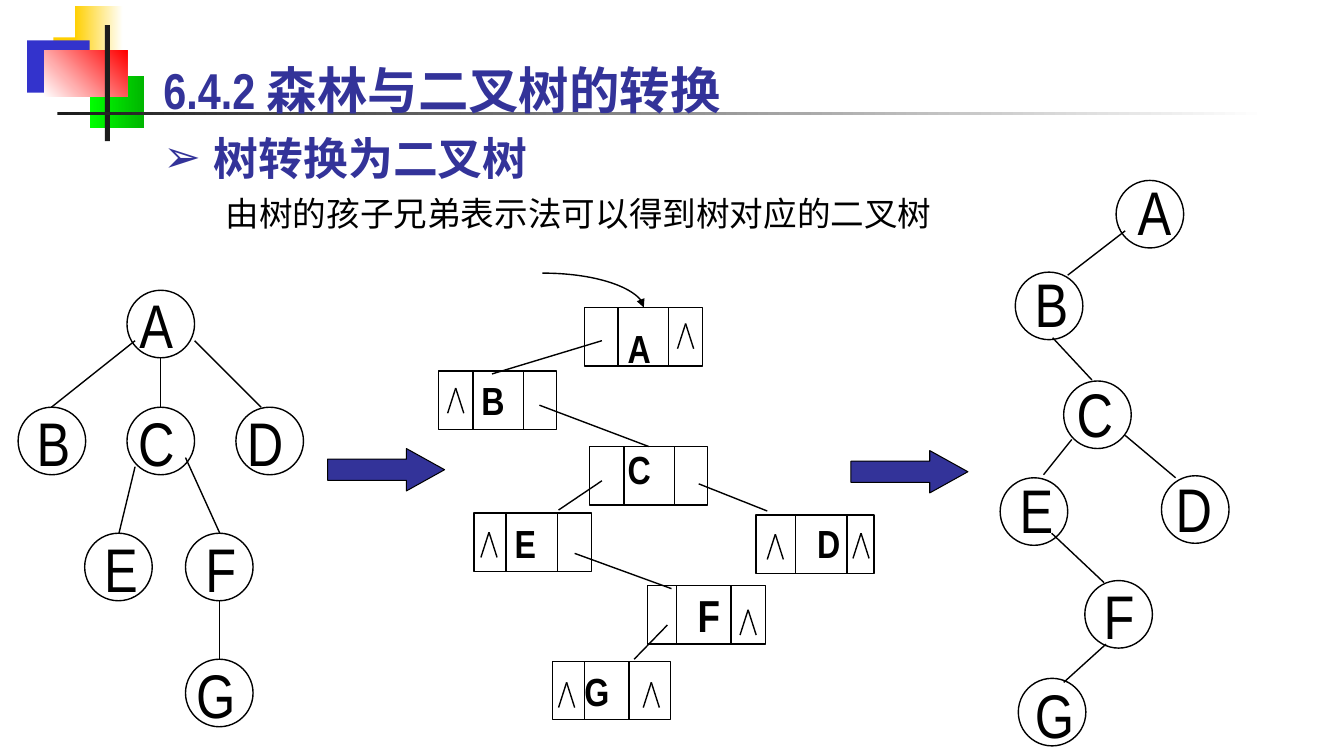
from lxml import etree
from pptx import Presentation
from pptx.dml.color import RGBColor
from pptx.enum.shapes import MSO_CONNECTOR, MSO_SHAPE
from pptx.enum.text import MSO_ANCHOR, MSO_AUTO_SIZE, PP_ALIGN
from pptx.oxml.ns import qn
from pptx.util import Inches, Pt

STRAIGHT, CURVE = MSO_CONNECTOR.STRAIGHT, MSO_CONNECTOR.CURVE
OVAL, RECTANGLE, ARROW = MSO_SHAPE.OVAL, MSO_SHAPE.RECTANGLE, MSO_SHAPE.RIGHT_ARROW
MIDDLE, FIXED = MSO_ANCHOR.MIDDLE, MSO_AUTO_SIZE.NONE
LEFT, CENTER = PP_ALIGN.LEFT, PP_ALIGN.CENTER

BLACK = RGBColor(0x00, 0x00, 0x00)
WHITE = RGBColor(0xFF, 0xFF, 0xFF)
CHARCOAL = RGBColor(0x1C, 0x1C, 0x1C)
NAVY = RGBColor(0x33, 0x33, 0x99)
BLUE = RGBColor(0x33, 0x33, 0xCC)
GOLD = RGBColor(0xFF, 0xCF, 0x01)
LIME = RGBColor(0x00, 0xFF, 0x00)
GREEN = RGBColor(0x00, 0xB6, 0x00)
RED = RGBColor(0xFF, 0x00, 0x00)

NARROW, CHINESE = "Arial Narrow", "Noto Sans CJK SC"
CIRCLE = 0.67
CELL_WIDTH, CELL_HEIGHT = 1.17, 0.58
CARET_HALF, CARET_HEIGHT = 0.08, 0.25

DECORATION = [
    ((0.53, 0.37, 0.64, 0.52), (GOLD,), 0),
    ((0.74, 0.06, 0.48, 0.52), (GOLD, WHITE), 0),
    ((0.27, 0.4, 0.62, 0.52), (BLUE,), 0),
    ((0.89, 0.75, 0.54, 0.52), (LIME, GREEN), 0),
    ((0.44, 0.5, 0.82, 0.46), (WHITE, RED), 45),
    ((1.04, 0.25, 0.05, 1.15), (CHARCOAL,), 0),
    ((0.57, 1.11, 12, 0.03), (CHARCOAL, WHITE), 0),
]

TREE_NODES = {
    "A": (1.08, 0, 0.29, 0.33), "B": (0, 1.16, 0.35, 0.34),
    "C": (1.08, 1.16, 0.29, 0.34), "D": (2.16, 1.16, 0.29, 0.34),
    "E": (0.66, 2.41, 0.36, 0.34), "F": (1.66, 2.41, 0.35, 0.34),
    "G": (1.66, 3.66, 0.3, 0.34),
}
TREE_EDGES = [
    (1.75, 0.5, 2.41, 1.16), (1.16, 0.5, 0.33, 1.16), (1.41, 0.66, 1.41, 1.16),
    (1.16, 1.75, 1, 2.41), (1.66, 1.66, 2, 2.41), (2, 3.08, 2, 3.66),
]
BINARY_NODES = {
    "A": (1.15, 0, 0.38, 0.3), "B": (0.15, 0.91, 0.36, 0.3),
    "C": (0.63, 1.99, 0.31, 0.32), "D": (1.6, 2.93, 0.32, 0.32),
    "E": (0, 2.95, 0.36, 0.31), "F": (0.84, 3.97, 0.34, 0.34),
    "G": (0.18, 4.94, 0.36, 0.35),
}
BINARY_EDGES = [
    (1.24, 0.5, 0.67, 0.94), (0.52, 1.56, 0.91, 1.98), (0.71, 2.57, 0.43, 2.92),
    (1.24, 2.53, 1.74, 2.95), (0.51, 3.5, 1.03, 3.99), (1.05, 4.6, 0.63, 4.98),
]

LIST_NODES = {
    "A": ((1.45, 0.34), (0.33, 0.83), [(1, 0.16)], (0.54, 0.4), 28),
    "B": ((0, 0.97), (0.34, 0.84), [(0.17, 0.17)], (0.54, 0.29), 28),
    "C": ((1.5, 1.72), (0.34, 0.84), [], (0.49, 0.22), 28),
    "D": ((3.15, 2.4), (0.39, 0.9), [(0.19, 0.19), (1.04, 0.18)], (0.72, 0.28), 28),
    "E": ((0.35, 2.38), (0.32, 0.83), [(0.15, 0.19)], (0.51, 0.3), 28),
    "F": ((2.07, 3.1), (0.29, 0.83), [(1, 0.24)], (0.61, 0.29), 32),
    "G": ((1.13, 3.85), (0.32, 0.76), [(0.14, 0.21), (0.98, 0.21)], (0.44, 0.29), 28),
}
LIST_LINKS = [
    (1.62, 0.67, 0.53, 1), (1.62, 2.06, 1.19, 2.35), (2.58, 2.09, 3.26, 2.36),
    (1.35, 2.78, 2.31, 3.13), (2.27, 3.49, 1.94, 3.83),
]


def write(frame, text, *, size, font=NARROW, color=BLACK, bold=False, align=LEFT):
    """Put one formatted line of text in a frame."""
    frame.word_wrap, frame.auto_size, frame.vertical_anchor = True, FIXED, MIDDLE
    para = frame.paragraphs[0]
    para.alignment = align
    para.space_before = Pt(0)
    span = para.add_run()
    span.text = text
    span.font.size, span.font.name, span.font.bold = Pt(size), font, bold
    span.font.color.rgb = color
    etree.SubElement(span.font._element, qn("a:ea"), typeface=CHINESE)


def place(shape, left, top, width, height):
    """Move and size a shape, in inches."""
    shape.left, shape.top = Inches(left), Inches(top)
    shape.width, shape.height = Inches(width), Inches(height)


def add_label(page, text, center_x, center_y, **style):
    """Centre a letter on a point."""
    side = 0.8
    box = page.shapes.add_textbox(
        Inches(center_x - side / 2), Inches(center_y - side / 2), Inches(side), Inches(side))
    frame = box.text_frame
    frame.margin_left = frame.margin_right = frame.margin_top = frame.margin_bottom = 0
    write(frame, text, align=CENTER, **style)


def add_outline(page, kind, left, top, width, height, line=1):
    """Add an unfilled preset shape with a black line."""
    shape = page.shapes.add_shape(kind, Inches(left), Inches(top), Inches(width), Inches(height))
    shape.shadow.inherit = False
    shape.fill.background()
    shape.line.color.rgb = BLACK
    shape.line.width = Pt(line)
    return shape


def add_line(page, left, top, start_x, start_y, end_x, end_y, kind=STRAIGHT):
    """Add a thin black connector between two points of a box."""
    line = page.shapes.add_connector(
        kind, Inches(left + start_x), Inches(top + start_y),
        Inches(left + end_x), Inches(top + end_y))
    line.line.color.rgb = BLACK
    line.line.width = Pt(1)
    etree.SubElement(line._element.spPr, qn("a:effectLst"))
    return line


def add_decoration(page):
    """Draw the coloured blocks and the two rules."""
    for box, colors, angle in DECORATION:
        block = add_outline(page, RECTANGLE, *box)
        block.line.fill.background()
        if len(colors) == 1:
            block.fill.solid()
            block.fill.fore_color.rgb = colors[0]
            continue
        block.fill.gradient()
        block.fill.gradient_angle = angle
        for stop, color in zip(block.fill.gradient_stops, colors):
            stop.color.rgb = color


def add_heading(page):
    """Fill the title, the bulleted heading and the sentence below it."""
    title, body = page.shapes.title, page.placeholders[1]
    for holder in (title, body):
        page.shapes._spTree.append(holder._element)
    place(title, 1.52, 0.53, 8.5, 0.72)
    write(title.text_frame, "6.4.2 森林与二叉树的转换", size=36, color=NAVY, bold=True)
    place(body, 1.52, 1.24, 5.83, 0.64)
    properties = body.text_frame.paragraphs[0]._p.get_or_add_pPr()
    properties.set("marL", str(Inches(0.5)))
    properties.set("indent", str(-Inches(0.5)))
    etree.SubElement(properties, qn("a:buChar"), char="➢")
    write(body.text_frame, "树转换为二叉树", size=32, font=CHINESE, color=NAVY, bold=True)
    note = page.shapes.add_textbox(Inches(2.14), Inches(1.86), Inches(9.32), Inches(0.5))
    write(note.text_frame, "由树的孩子兄弟表示法可以得到树对应的二叉树", size=24, font=CHINESE)


def add_tree(page, left, top, nodes, edges):
    """Draw lettered circles and the edges between them."""
    for letter, (x, y, label_x, label_y) in nodes.items():
        add_outline(page, OVAL, left + x, top + y, CIRCLE, CIRCLE)
        add_label(page, letter, left + x + label_x, top + y + label_y, size=44)
    for edge in edges:
        add_line(page, left, top, *edge)


def add_linked_list(page, left, top):
    """Draw the child-sibling cells, their null marks and links."""
    cells = {}
    for letter, ((x, y), dividers, carets, label, size) in LIST_NODES.items():
        cell_left, cell_top = left + x, top + y
        cells[letter] = add_outline(page, RECTANGLE, cell_left, cell_top, CELL_WIDTH, CELL_HEIGHT)
        for divider in dividers:
            add_line(page, cell_left, cell_top, divider, 0, divider, CELL_HEIGHT)
        for peak_x, peak_y in carets:
            for foot in (peak_x - CARET_HALF, peak_x + CARET_HALF):
                add_line(page, cell_left, cell_top, peak_x, peak_y, foot, peak_y + CARET_HEIGHT)
        add_label(page, letter, cell_left + label[0], cell_top + label[1], size=size, bold=True)
    for link in LIST_LINKS:
        add_line(page, left, top, *link)
    add_line(page, left, top, 1, 1.31, 2.09, 1.72).end_connect(cells["C"], 0)
    entry = add_line(page, left, top, 1.03, 0, 2.03, 0.34, CURVE)
    entry.end_connect(cells["A"], 0)
    entry._element.spPr.find(qn("a:prstGeom")).set("prst", "curvedConnector2")
    etree.SubElement(entry.line._get_or_add_ln(), qn("a:tailEnd"), type="triangle")


def add_step_arrow(page, left, top):
    """Draw a block arrow between two stages."""
    arrow = add_outline(page, ARROW, left, top, 1.16, 0.42, line=0.75)
    arrow.adjustments[0], arrow.adjustments[1] = 0.5, 0.9
    arrow.fill.solid()
    arrow.fill.fore_color.rgb = NAVY


def main():
    """Build and save the slide."""
    deck = Presentation()
    deck.slide_width, deck.slide_height = Inches(13.33), Inches(7.5)
    page = deck.slides.add_slide(deck.slide_layouts[1])
    add_decoration(page)
    add_heading(page)
    add_tree(page, 0.18, 2.88, TREE_NODES, TREE_EDGES)
    add_linked_list(page, 4.35, 2.71)
    add_step_arrow(page, 3.25, 4.45)
    add_step_arrow(page, 8.44, 4.47)
    add_tree(page, 9.92, 1.79, BINARY_NODES, BINARY_EDGES)
    deck.save("out.pptx")


if __name__ == "__main__":
    main()
